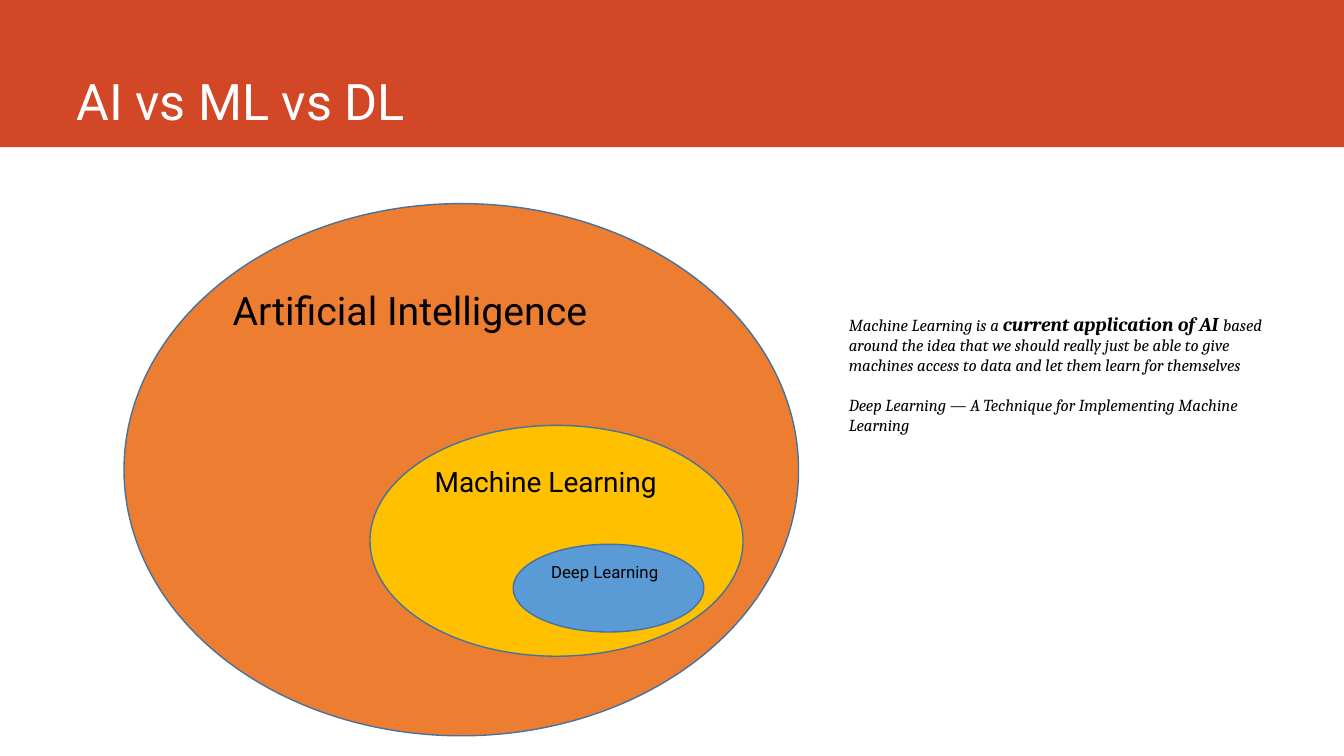
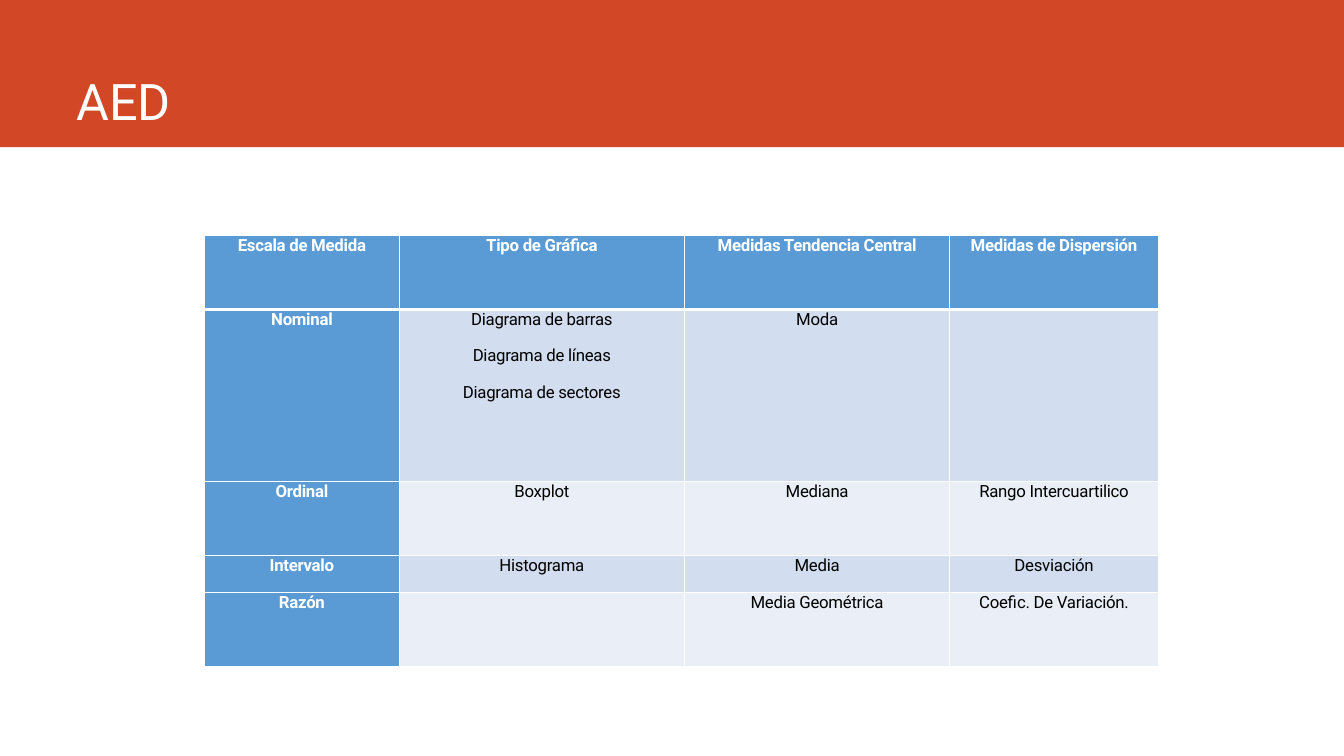
"""Build two slides: nested AI fields and a table of descriptive measures."""
from dataclasses import dataclass

from lxml.etree import SubElement
from pptx import Presentation
from pptx.dml.color import RGBColor
from pptx.enum.shapes import MSO_SHAPE
from pptx.enum.text import MSO_ANCHOR, PP_ALIGN
from pptx.oxml.ns import qn
from pptx.util import Inches, Pt


@dataclass(frozen=True)
class Theme:
    band: str = "D24726"
    white: str = "FFFFFF"
    ink: str = "000000"
    outline: str = "43739E"
    orange: str = "ED7D31"
    gold: str = "FFC000"
    blue: str = "5B9BD5"
    stripes: tuple = ("EAEFF7", "D2DEEF")
    sans: str = "Roboto"
    serif: str = "Cambria"
    title: int = 36
    body: int = 12
    accent: int = 14


T = Theme()
W, H = 13.33, 7.5
BAND_H = 1.46

FIELDS = [
    ("Artificial Intelligence", T.orange, 28, (1.23, 2.02, 6.69, 5.28)),
    ("Machine Learning", T.gold, 20, (3.67, 4.22, 3.7, 2.29)),
    ("Deep Learning", T.blue, 12, (5.09, 5.4, 1.89, 0.87)),
]
NOTES = [
    [("Machine Learning is a ", False),
     ("current application of AI ", True),
     ("based around the idea that we should really just be able to give "
      "machines access to data and let them learn for themselves", False)],
    [("Deep Learning — A Technique for Implementing Machine Learning", False)],
]
MEASURES = [
    ("Escala de Medida", "Tipo de Gráfica", "Medidas Tendencia Central", "Medidas de Dispersión"),
    ("Nominal", "Diagrama de barras\nDiagrama de líneas\nDiagrama de sectores", "Moda", ""),
    ("Ordinal", "Boxplot", "Mediana", "Rango Intercuartilico"),
    ("Intervalo", "Histograma", "Media", "Desviación"),
    ("Razón", "", "Media Geométrica", "Coefic. De Variación."),
]
COLS = (1.93, 2.83, 2.63, 2.07)
ROWS = (0.73, 1.71, 0.73, 0.37, 0.73)


def rgb(color):
    return RGBColor.from_string(color)


def box(values):
    return [Inches(v) for v in values]


def style(font, size, color, name=T.sans, bold=False):
    font.size, font.name, font.bold = Pt(size), name, bold
    font.color.rgb = rgb(color)


def add_shape(s, kind, at, fill, line=None):
    sp = s.shapes.add_shape(kind, *box(at))
    sp.shadow.inherit = False
    sp.fill.solid()
    sp.fill.fore_color.rgb = rgb(fill)
    if line:
        sp.line.color.rgb = rgb(line)
        sp.line.width = Pt(1)
    else:
        sp.line.fill.background()
    return sp


def add_text(s, at):
    tf = s.shapes.add_textbox(*box(at)).text_frame
    tf.word_wrap = True
    return tf


def add_slide(prs, title):
    s = prs.slides.add_slide(prs.slide_layouts[6])
    add_shape(s, MSO_SHAPE.RECTANGLE, (0, 0, W, BAND_H), T.band)
    tf = add_text(s, (0.66, 0, 11.76, 1.32))
    tf.vertical_anchor = MSO_ANCHOR.BOTTOM
    tf.margin_bottom = Inches(0.02)
    p = tf.paragraphs[0]
    p.text = title
    style(p.font, T.title, T.white)
    return s


def add_fields(s):
    for name, fill, size, at in FIELDS:
        tf = add_shape(s, MSO_SHAPE.OVAL, at, fill, T.outline).text_frame
        tf.vertical_anchor = MSO_ANCHOR.TOP
        p = tf.paragraphs[0]
        p.text, p.alignment = name, PP_ALIGN.LEFT
        style(p.font, size, T.ink)


def add_notes(s):
    tf = add_text(s, (8.32, 3.04, 4.33, 2.19))
    for i, runs in enumerate(NOTES):
        p = tf.add_paragraph() if i else tf.paragraphs[0]
        p.space_after = Pt(T.accent)
        for text, strong in runs:
            r = p.add_run()
            r.text = text
            style(r.font, T.accent if strong else T.body, T.ink, T.serif, strong)
            r.font.italic = True


def add_borders(cell, widths):
    tc_pr = cell._tc.get_or_add_tcPr()
    for side, width in widths.items():
        ln = SubElement(tc_pr, qn(f"a:ln{side}"), w=str(Pt(width)))
        SubElement(SubElement(ln, qn("a:solidFill")), qn("a:srgbClr"), val=T.white)


def fill_cell(cell, text, row, col):
    head = row == 0 or col == 0
    add_borders(cell, {"L": 1, "R": 1, "T": 3 if row == 1 else 1, "B": 1 if row else 3})
    cell.fill.solid()
    cell.fill.fore_color.rgb = rgb(T.blue if head else T.stripes[row % 2])
    cell.margin_left = cell.margin_right = Inches(0.07)
    cell.margin_top = cell.margin_bottom = 0
    cell.text = text
    for p in cell.text_frame.paragraphs:
        p.alignment, p.space_after = PP_ALIGN.CENTER, Pt(12)
        style(p.font, T.body, T.white if head else T.ink, bold=head)
        for r in p.runs:
            r.font._element.set("spc", "-20")


def add_measures(s):
    at = (2.03, 2.34, sum(COLS), sum(ROWS))
    table = s.shapes.add_table(len(ROWS), len(COLS), *box(at)).table
    table.first_row = table.horz_banding = False
    for column, width in zip(table.columns, COLS):
        column.width = Inches(width)
    for i, (height, texts) in enumerate(zip(ROWS, MEASURES)):
        table.rows[i].height = Inches(height)
        for j, text in enumerate(texts):
            fill_cell(table.cell(i, j), text, i, j)


def main():
    prs = Presentation()
    prs.slide_width, prs.slide_height = box((W, H))
    s = add_slide(prs, "AI vs ML vs DL")
    add_fields(s)
    add_notes(s)
    add_measures(add_slide(prs, "AED"))
    prs.save("out.pptx")


if __name__ == "__main__":
    main()
